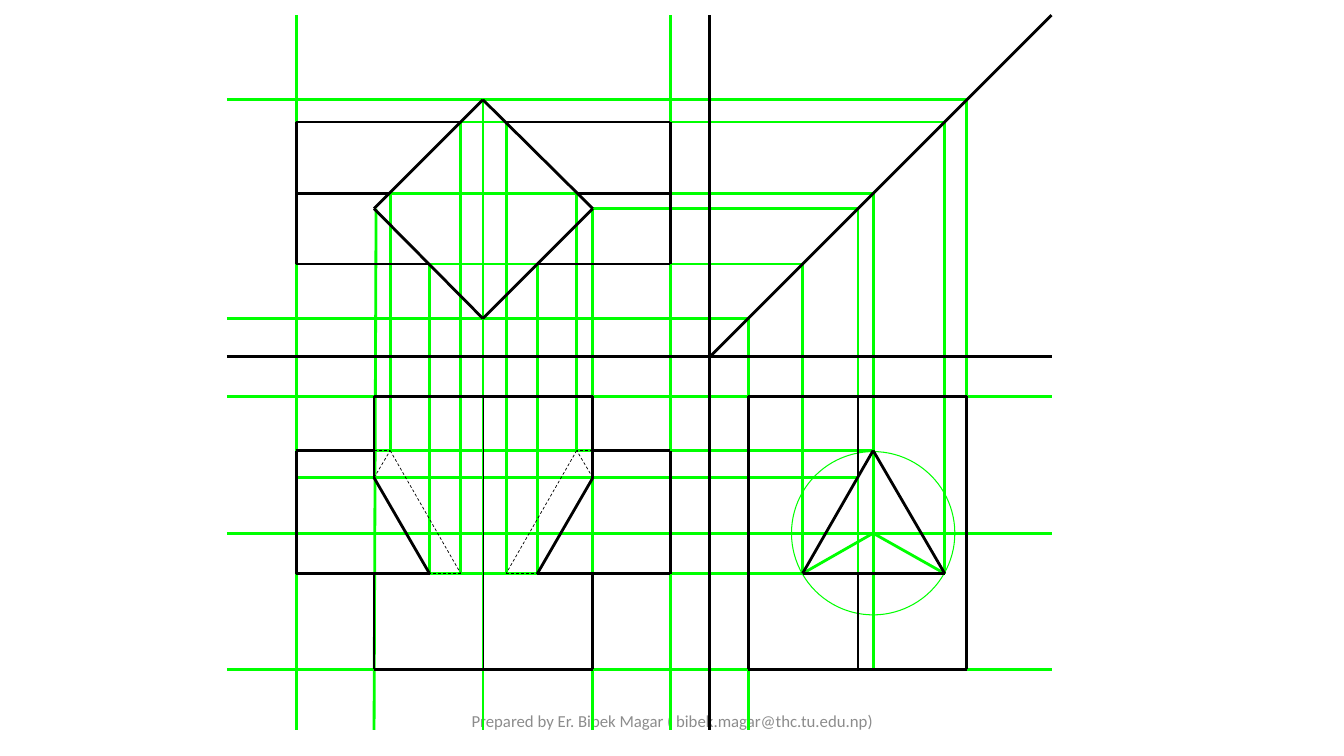
import itertools

import pptx
import pptx.dml.color
import pptx.enum.dml
import pptx.enum.shapes
import pptx.enum.text
import pptx.util
from lxml import etree

Inches = pptx.util.Inches
BLACK = pptx.dml.color.RGBColor(0x00, 0x00, 0x00)
GREEN = pptx.dml.color.RGBColor(0x00, 0xFF, 0x00)
GREY = pptx.dml.color.RGBColor(0x8C, 0x8C, 0x8C)
DASH = pptx.enum.dml.MSO_LINE.DASH

presentation = pptx.Presentation()
presentation.slide_width = Inches(13.33)
presentation.slide_height = Inches(7.5)
slide = presentation.slides.add_slide(presentation.slide_layouts[6])


def write(text, left, top, width, height, size=12, color=GREY, font="Calibri"):
    box = slide.shapes.add_textbox(*map(Inches, (left, top, width, height)))
    frame = box.text_frame
    frame.word_wrap = True
    frame.vertical_anchor = pptx.enum.text.MSO_ANCHOR.MIDDLE
    paragraph = frame.paragraphs[0]
    paragraph.alignment = pptx.enum.text.PP_ALIGN.CENTER
    run = paragraph.add_run()
    run.text = text
    run.font.size = pptx.util.Pt(size)
    run.font.name = font
    run.font.color.rgb = color


def draw(*points, color=BLACK, width=0, dash=None):
    """Join consecutive (column, row) points with straight lines."""
    for start, end in itertools.pairwise(points):
        edge = slide.shapes.add_connector(
            pptx.enum.shapes.MSO_CONNECTOR.STRAIGHT, *map(Inches, start + end))
        edge.line.color.rgb = color
        edge.line.width = pptx.util.Pt(width)
        if dash:
            edge.line.dash_style = dash
        etree.SubElement(edge._element.spPr, pptx.oxml.ns.qn("a:effectLst"))


write("Prepared by Er. Bibek Magar ( bibek.magar@thc.tu.edu.np)",
      4.42, 6.95, 4.5, 0.4)

# Sheet limits and the two reference axes
sheet_left, sheet_right, sheet_top, sheet_bottom = 2.25, 10.43, 0.15, 7.24
fold_x, fold_y = 7.04, 3.54

# Rows of the top view
plan_back, prism_back, ridge, plan_middle, prism_front, plan_front = (
    0.99, 1.21, 1.92, 2.07, 2.62, 3.16)
# Rows of the front and side views
tower_top, prism_top, bend, prism_center, prism_base, tower_base = (
    3.93, 4.47, 4.74, 5.29, 5.69, 6.64)
# Columns shared by the top and front views, listed outwards in for each half
axis = 4.79
left_half = (2.94, 3.71, 3.87, 4.26, 4.57)
right_half = (6.65, 5.88, 5.72, 5.33, 5.02)
prism_left, tower_left = left_half[:2]
prism_right, tower_right = right_half[:2]
# The 45 degree mitre line turns each top view row into a side view column
side_front, side_prism_front, side_middle, side_ridge, side_prism_back, side_back = (
    round(fold_x + fold_y - row, 2)
    for row in (plan_front, prism_front, plan_middle, ridge, prism_back, plan_back))

# Horizontal construction lines
for row, start, end in (
        (tower_top, sheet_left, sheet_right),
        (tower_base, sheet_left, sheet_right),
        (prism_center, sheet_left, sheet_right),
        (plan_front, sheet_left, side_front),
        (plan_back, sheet_left, side_back),
        (prism_back, prism_left, side_prism_back),
        (ridge, prism_left, side_ridge),
        (plan_middle, tower_right, side_middle),
        (prism_front, prism_left, side_prism_front),
        (prism_top, prism_left, side_ridge),
        (bend, prism_left, side_middle),
        (prism_base, prism_left, side_prism_front)):
    draw((start, row), (end, row), color=GREEN)

# Vertical construction lines
for column, start, end in (
        (prism_left, sheet_top, sheet_bottom),
        (prism_right, sheet_top, sheet_bottom),
        (axis, plan_back, sheet_bottom),
        (tower_right, plan_middle, sheet_bottom),
        (side_front, plan_front, sheet_bottom),
        (side_prism_front, prism_front, prism_base),
        (side_middle, plan_middle, tower_base),
        (side_ridge, ridge, tower_base),
        (side_prism_back, prism_back, prism_base),
        (side_back, plan_back, tower_base)):
    draw((column, start), (column, end), color=GREEN)
draw((3.73, plan_middle), (tower_left, sheet_bottom), color=GREEN)
for _, _, ridge_cut, front_cut, back_cut in (left_half, right_half):
    draw((ridge_cut, ridge), (ridge_cut, prism_top), color=GREEN)
    draw((front_cut, prism_front), (front_cut, prism_base), color=GREEN)
    draw((back_cut, prism_back), (back_cut, prism_base), color=GREEN)

# Circle around the triangular section, with its radii
radius = 0.81
circle = slide.shapes.add_shape(
    pptx.enum.shapes.MSO_SHAPE.OVAL,
    *map(Inches, (side_ridge - radius, prism_center - radius, 2 * radius, 2 * radius)))
circle.shadow.inherit = False
circle.fill.background()
circle.line.color.rgb = GREEN
circle.line.width = pptx.util.Pt(0)
draw((side_prism_back, prism_base), (side_ridge, prism_center),
     (side_prism_front, prism_base), color=GREEN)

# Reference axes and mitre line
draw((sheet_left, fold_y), (sheet_right, fold_y))
draw((fold_x, sheet_top), (fold_x, sheet_bottom))
draw((fold_x, fold_y), (sheet_right, sheet_top))

# Top view: square tower
draw((tower_left, plan_middle), (axis, plan_back), (tower_right, plan_middle),
     (axis, plan_front), (tower_left, plan_middle))

# Side view: tower, triangular section and the visible middle edge
draw((side_front, tower_base), (side_front, tower_top), (side_back, tower_top),
     (side_back, tower_base), (side_front, tower_base))
draw((side_ridge, prism_top), (side_prism_front, prism_base),
     (side_prism_back, prism_base), (side_ridge, prism_top))
draw((side_middle, tower_base), (side_middle, prism_base))
draw((side_middle, bend), (side_middle, tower_top))

# Both halves of the prism in the top view and of the solid in the front view
for prism_end, tower_edge, ridge_cut, front_cut, back_cut in (left_half, right_half):
    draw((front_cut, prism_front), (prism_end, prism_front),
         (prism_end, prism_back), (back_cut, prism_back))
    draw((prism_end, ridge), (ridge_cut, ridge))
    draw((axis, tower_top), (tower_edge, tower_top), (tower_edge, prism_top),
         (prism_end, prism_top), (prism_end, prism_base), (tower_edge, prism_base),
         (tower_edge, tower_base), (axis, tower_base))
    draw((tower_edge, prism_top), (tower_edge, bend),
         (front_cut, prism_base), (tower_edge, prism_base))
    draw((tower_edge, bend), (ridge_cut, prism_top), (back_cut, prism_base),
         (front_cut, prism_base), width=0.5, dash=DASH)
    draw((tower_edge, prism_top), (ridge_cut, prism_top), width=0.5, dash=DASH)
draw((axis, tower_top), (axis, tower_base), width=0.5)

presentation.save("out.pptx")
